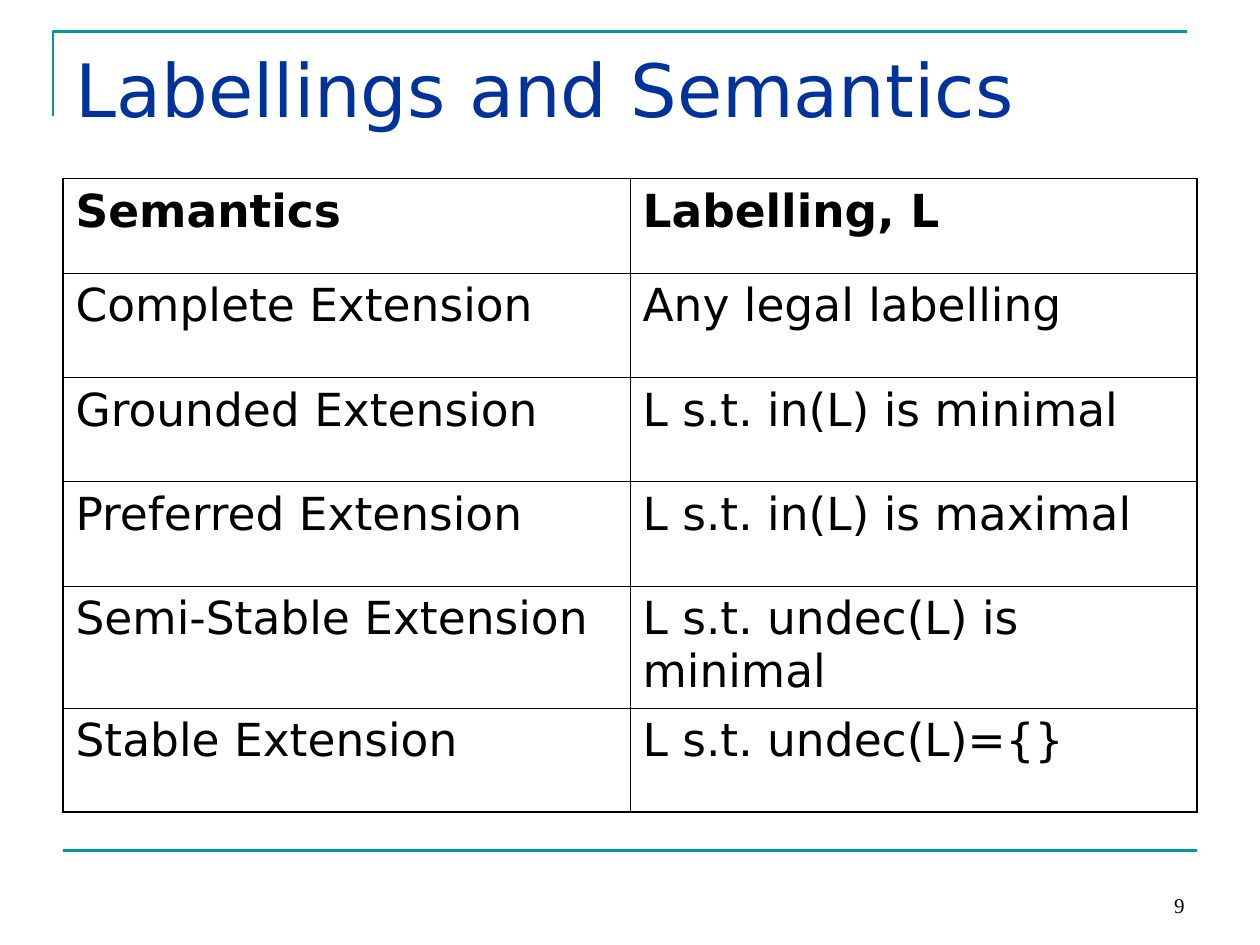
from lxml import etree
from pptx import Presentation
from pptx import util as u
from pptx.dml.color import RGBColor
from pptx.enum import shapes, text
from pptx.oxml import ns

TEAL = RGBColor(0x00, 0x99, 0x99)
NAVY = RGBColor(0x00, 0x33, 0x99)
BLACK = RGBColor(0x00, 0x00, 0x00)
SANS = "DejaVu Sans"
THICK, THIN = u.Pt(1.08), u.Pt(0.45)


def write(frame, words, size, font=SANS, color=BLACK, bold=False,
          align=text.PP_ALIGN.LEFT, anchor=text.MSO_ANCHOR.TOP):
    frame.word_wrap = True
    frame.auto_size = text.MSO_AUTO_SIZE.NONE
    frame.vertical_anchor = anchor
    paragraph = frame.paragraphs[0]
    paragraph.alignment = align
    run = paragraph.add_run()
    run.text = words
    run.font.size = u.Pt(size)
    run.font.name = font
    run.font.bold = bold
    run.font.color.rgb = color


def add_border(cell, side, width):
    border = etree.SubElement(cell._tc.get_or_add_tcPr(), ns.qn(f"a:ln{side}"), w=str(width))
    fill = etree.SubElement(border, ns.qn("a:solidFill"))
    etree.SubElement(fill, ns.qn("a:srgbClr"), val=str(BLACK))


presentation = Presentation()
presentation.slide_width = u.Cm(25.4)
presentation.slide_height = u.Cm(19.05)
slide = presentation.slides.add_slide(presentation.slide_layouts[5])

builder = slide.shapes.build_freeform(u.Cm(1.07), u.Cm(2.34))
builder.add_line_segments([(u.Cm(1.07), u.Cm(0.64)), (u.Cm(23.93), u.Cm(0.64))], close=False)
corner = builder.convert_to_shape()
corner.shadow.inherit = False
corner.fill.background()

footer_line = slide.shapes.add_connector(
    shapes.MSO_CONNECTOR.STRAIGHT, u.Cm(1.27), u.Cm(17.15), u.Cm(24.13), u.Cm(17.15))
etree.SubElement(footer_line._element.spPr, ns.qn("a:effectLst"))
for rule in (corner, footer_line):
    rule.line.color.rgb = TEAL
    rule.line.width = u.Pt(1.5)

title = slide.shapes.title
title.left, title.top = u.Cm(1.27), u.Cm(0.76)
title.width, title.height = u.Cm(22.86), u.Cm(3.18)
write(title.text_frame, "Labellings and Semantics", 42, color=NAVY)

rows = [
    ("Semantics", "Labelling, L"),
    ("Complete Extension", "Any legal labelling"),
    ("Grounded Extension", "L s.t. in(L) is minimal"),
    ("Preferred Extension", "L s.t. in(L) is maximal"),
    ("Semi-Stable Extension", "L s.t. undec(L) is minimal"),
    ("Stable Extension", "L s.t. undec(L)={}"),
]
heights = [1.91, 2.1, 2.1, 2.1, 2.46, 2.1]
table = slide.shapes.add_table(
    len(rows), 2, u.Cm(1.27), u.Cm(3.6), u.Cm(22.86), u.Cm(sum(heights))).table
table.first_row = table.horz_banding = False
for column in table.columns:
    column.width = u.Cm(11.43)
for r, (row, height) in enumerate(zip(rows, heights)):
    table.rows[r].height = u.Cm(height)
    for c, words in enumerate(row):
        cell = table.cell(r, c)
        outer_sides = {"L": c == 0, "R": c == 1, "T": r == 0, "B": r == len(rows) - 1}
        for side, outer in outer_sides.items():
            add_border(cell, side, THICK if outer else THIN)
        cell.fill.background()
        write(cell.text_frame, words, 26, bold=r == 0)

page_number = slide.shapes.add_textbox(u.Cm(18.21), u.Cm(17.35), u.Cm(5.92), u.Cm(1.27))
write(page_number.text_frame, "9", 12, font="Times New Roman",
      align=text.PP_ALIGN.RIGHT, anchor=text.MSO_ANCHOR.BOTTOM)

presentation.save("out.pptx")
